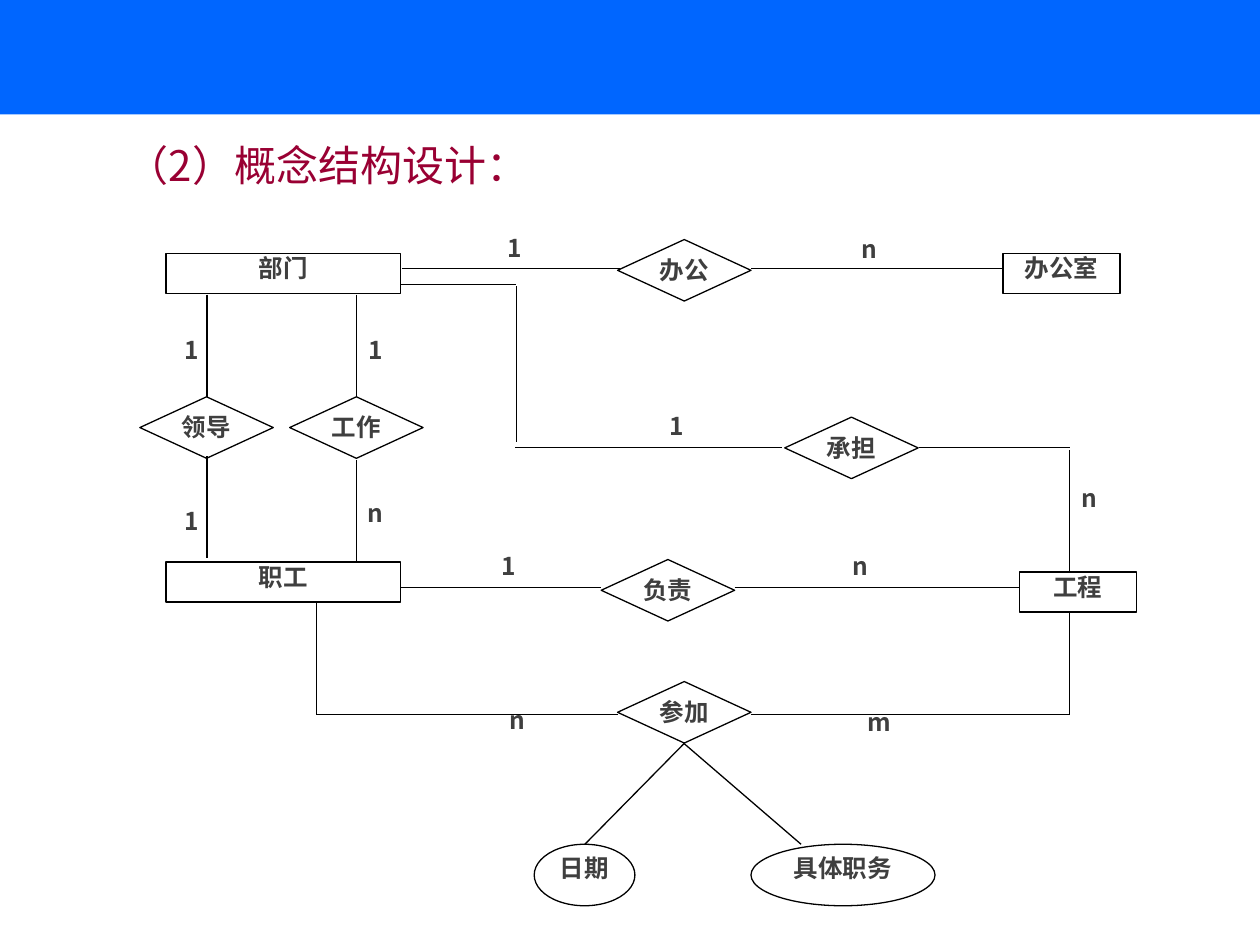
from pptx import Presentation
from pptx.dml.color import RGBColor
from pptx.enum.shapes import MSO_CONNECTOR, MSO_SHAPE
from pptx.enum.text import MSO_ANCHOR, PP_ALIGN
from pptx.oxml.ns import qn
from pptx.util import Cm, Pt
from lxml import etree

RECT, DIAMOND, OVAL = MSO_SHAPE.RECTANGLE, MSO_SHAPE.DIAMOND, MSO_SHAPE.OVAL
STRAIGHT = MSO_CONNECTOR.STRAIGHT
TOP = MSO_ANCHOR.TOP
CENTER, JUSTIFY = PP_ALIGN.CENTER, PP_ALIGN.JUSTIFY

FONT = "Noto Sans CJK SC"
BLUE, WHITE, BLACK = "0066FF", "FFFFFF", "000000"
HEADING = {"size": Pt(24), "bold": False}
NODE = {"size": Pt(14), "bold": True}
NO_MARGIN = {"margin_left": 0, "margin_top": 0, "margin_right": 0,
             "margin_bottom": 0, "vertical_anchor": TOP, "word_wrap": True}

LABEL_SIZE = (1.02, 0.81)
LABELS = [
    ("1", 7.04, 0), ("n", 14.2, 0.02), ("1", 0.53, 2.06), ("1", 4.24, 2.06),
    ("1", 10.31, 3.58), ("n", 18.64, 5.03), ("1", 0.53, 5.51),
    ("n", 4.24, 5.33), ("1", 6.93, 6.4), ("n", 14.02, 6.4),
    ("n", 7.09, 9.52), ("m", 14.4, 9.55),
]
ENTITIES = [
    ("部门", 0.53, 0.41, 4.72), ("办公室", 17.4, 0.41, 2.36),
    ("职工", 0.53, 6.63, 4.72), ("工程", 17.73, 6.83, 2.36),
]
RELATIONS = [
    ("办公", 9.63, 0.13), ("领导", 0, 3.3), ("工作", 3.02, 3.3),
    ("承担", 13, 3.71), ("负责", 9.3, 6.58), ("参加", 9.63, 9.04),
]
ATTRIBUTES = [("日期", 7.95, 12.32, 2.03), ("具体职务", 12.32, 12.32, 3.71)]
LINES = [
    (5.28, 0.71, 9.68, 0.71), (12.32, 0.71, 17.4, 0.71),
    (1.35, 1.24, 1.35, 3.3), (4.37, 1.24, 4.37, 3.3),
    (1.35, 4.5, 1.35, 6.55), (4.37, 4.57, 4.37, 6.63),
    (5.26, 1.04, 7.59, 1.04), (7.59, 1.07, 7.59, 4.22),
    (7.57, 4.32, 12.95, 4.32), (15.7, 4.32, 18.74, 4.32),
    (18.74, 4.37, 18.74, 6.83), (5.26, 7.14, 9.3, 7.14),
    (11.99, 7.14, 17.73, 7.14), (3.56, 7.44, 3.56, 9.7),
    (3.56, 9.7, 9.63, 9.7), (12.32, 9.7, 18.74, 9.7),
    (18.74, 7.64, 18.74, 9.7), (10.97, 10.29, 8.97, 12.32),
    (10.97, 10.29, 13.33, 12.32),
]


def rgb(value):
    """Return the colour for a hex string."""
    return RGBColor.from_string(value)


def assign(target, values):
    """Set each attribute of the target from a dict."""
    for name, value in values.items():
        setattr(target, name, value)


def write(p, text, colour, style):
    """Add one run with Latin and East Asian fonts."""
    r = p.add_run()
    r.text = text
    assign(r.font, {"name": FONT, **style})
    r.font.color.rgb = rgb(colour)
    etree.SubElement(r.font._element, qn("a:ea"), typeface=FONT)


def add_box(s, kind, box, fill, outline=None, text=None):
    """Add a flat preset shape with optional outline and centred text."""
    sp = s.shapes.add_shape(kind, *map(Cm, box))
    sp.shadow.inherit = False
    sp.fill.solid()
    sp.fill.fore_color.rgb = rgb(fill)
    if outline:
        sp.line.color.rgb = rgb(outline)
        sp.line.width = Pt(0.75)
    else:
        sp.line.fill.background()
    if text:
        tf = sp.text_frame
        assign(tf, NO_MARGIN)
        p = tf.paragraphs[0]
        p.alignment = CENTER
        write(p, text, "3F3F3F", NODE)


def add_line(s, ends):
    """Add a thin black line without shadow."""
    line = s.shapes.add_connector(STRAIGHT, *map(Cm, ends))
    line.line.color.rgb = rgb(BLACK)
    line.line.width = Pt(0.75)
    etree.SubElement(line._element.spPr, qn("a:effectLst"))


def add_heading(s, box, text):
    """Add the section heading with a first-line indent."""
    tf = s.shapes.add_textbox(*map(Cm, box)).text_frame
    tf.word_wrap = True
    p = tf.paragraphs[0]
    assign(p, {"alignment": JUSTIFY, "line_spacing": 1.6})
    p._p.get_or_add_pPr().set("indent", str(Cm(1.27)))
    write(p, text, "990033", HEADING)


def add_er_diagram(s, left, top):
    """Draw the entity-relationship diagram from its top left corner."""
    nodes = [(RECT, t, x, y, *LABEL_SIZE, WHITE) for t, x, y in LABELS]
    nodes += [(RECT, t, x, y, w, 0.81, BLACK) for t, x, y, w in ENTITIES]
    nodes += [(DIAMOND, t, x, y, 2.69, 1.24, BLACK) for t, x, y in RELATIONS]
    nodes += [(OVAL, t, x, y, w, 1.24, BLACK) for t, x, y, w in ATTRIBUTES]
    for kind, text, x, y, w, h, outline in nodes:
        add_box(s, kind, (left + x, top + y, w, h), WHITE, outline, text)
    for x1, y1, x2, y2 in LINES:
        add_line(s, (left + x1, top + y1, left + x2, top + y2))


def main():
    """Build and save the slide."""
    prs = Presentation()
    prs.slide_width, prs.slide_height = Cm(25.4), Cm(19.05)
    s = prs.slides.add_slide(prs.slide_layouts[6])
    add_box(s, RECT, (0, 0, 25.5, 2.31), BLUE)
    add_heading(s, (1.04, 2.08, 14.68, 1.9), "（2）概念结构设计：")
    add_er_diagram(s, 2.82, 4.7)
    prs.save("out.pptx")


main()
